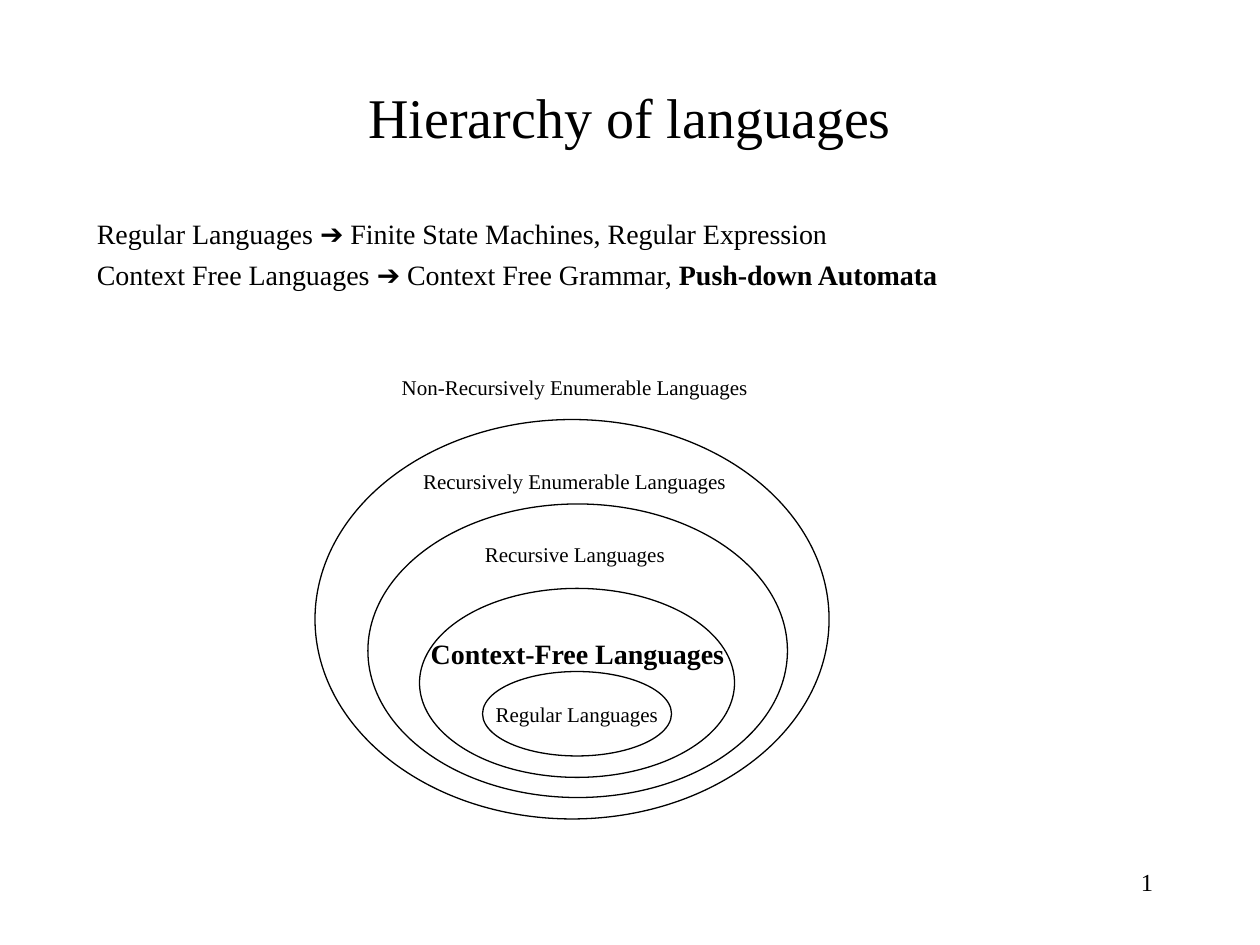
from pptx import Presentation
from pptx.dml.color import RGBColor
from pptx.enum import shapes, text
from pptx.util import Inches, Pt

BLACK = RGBColor(0, 0, 0)
SERIF, ARROW_FONT = "Times New Roman", "Arial"
ARROW = "➔"

TITLE = "Hierarchy of languages"
PAGE_NUMBER = "1"
# Language class, plain description, bold description
MODELS = [
    ("Regular Languages", "Finite State Machines, Regular Expression", ""),
    ("Context Free Languages", "Context Free Grammar, ", "Push-down Automata"),
]
# Nested sets, innermost first: left, top, width, height, text inside
SETS = [
    (3.83, 5.33, 1.5, 0.67, "Regular Languages"),
    (3.33, 4.67, 2.5, 1.5, ""),
    (2.92, 4, 3.33, 2.33, ""),
    (2.5, 3.33, 4.08, 3.17, ""),
]
# Set labels: left, top, width, height, size, bold, text
LABELS = [
    (3.32, 5, 2.55, 0.37, 16, True, "Context-Free Languages"),
    (3.75, 4.25, 1.65, 0.3, 12, False, "Recursive Languages"),
    (3.26, 3.67, 2.63, 0.3, 12, False, "Recursively Enumerable Languages"),
    (3.09, 2.92, 2.97, 0.3, 12, False, "Non-Recursively Enumerable Languages"),
]


def style(paragraph, size, align=text.PP_ALIGN.LEFT, bold=False):
    paragraph.alignment = align
    font = paragraph.font
    font.name, font.size, font.bold = SERIF, Pt(size), bold
    font.color.rgb = BLACK


def add_text(parent, box, words, size, align=text.PP_ALIGN.LEFT, bold=False, wrap=True):
    frame = parent.add_textbox(*map(Inches, box)).text_frame
    frame.word_wrap = wrap
    frame.text = words
    style(frame.paragraphs[0], size, align, bold)
    return frame


def add_models(parent, box):
    """Add one line per language class, with an arrow to its models."""
    frame = parent.add_textbox(*map(Inches, box)).text_frame
    frame.word_wrap = True
    for i, (language, plain, strong) in enumerate(MODELS):
        line = frame.add_paragraph() if i else frame.paragraphs[0]
        style(line, 16)
        line.space_before = Pt(4 if i else 0)
        line.add_run().text = f"{language} "
        arrow = line.add_run()
        arrow.text, arrow.font.name = ARROW, ARROW_FONT
        line.add_run().text = f" {plain}"
        if strong:
            emphasis = line.add_run()
            emphasis.text, emphasis.font.bold = strong, True


def add_set(parent, box, words):
    ellipse = parent.add_shape(shapes.MSO_SHAPE.OVAL, *map(Inches, box))
    ellipse.shadow.inherit = False
    ellipse.fill.background()
    ellipse.line.color.rgb = BLACK
    ellipse.line.width = Pt(0.75)
    if words:
        frame = ellipse.text_frame
        frame.word_wrap = False
        frame.vertical_anchor = text.MSO_ANCHOR.MIDDLE
        frame.text = words
        style(frame.paragraphs[0], 12, text.PP_ALIGN.CENTER)


def main():
    deck = Presentation()
    deck.slide_width, deck.slide_height = Inches(10), Inches(7.5)
    slide = deck.slides.add_slide(deck.slide_layouts[6])

    add_text(slide.shapes, (7.17, 6.83, 2.08, 0.5), PAGE_NUMBER, 14, text.PP_ALIGN.RIGHT)
    title = add_text(slide.shapes, (0.75, 0.42, 8.5, 1), TITLE, 32, text.PP_ALIGN.CENTER)
    title.vertical_anchor = text.MSO_ANCHOR.MIDDLE
    add_models(slide.shapes, (0.67, 1.67, 8.5, 5.17))

    hierarchy = slide.shapes.add_group_shape().shapes
    for *box, words in SETS:
        add_set(hierarchy, box, words)
    for *box, size, bold, words in LABELS:
        label = add_text(hierarchy, box, words, size, bold=bold, wrap=False)
        label.auto_size = text.MSO_AUTO_SIZE.SHAPE_TO_FIT_TEXT

    deck.save("out.pptx")


if __name__ == "__main__":
    main()
